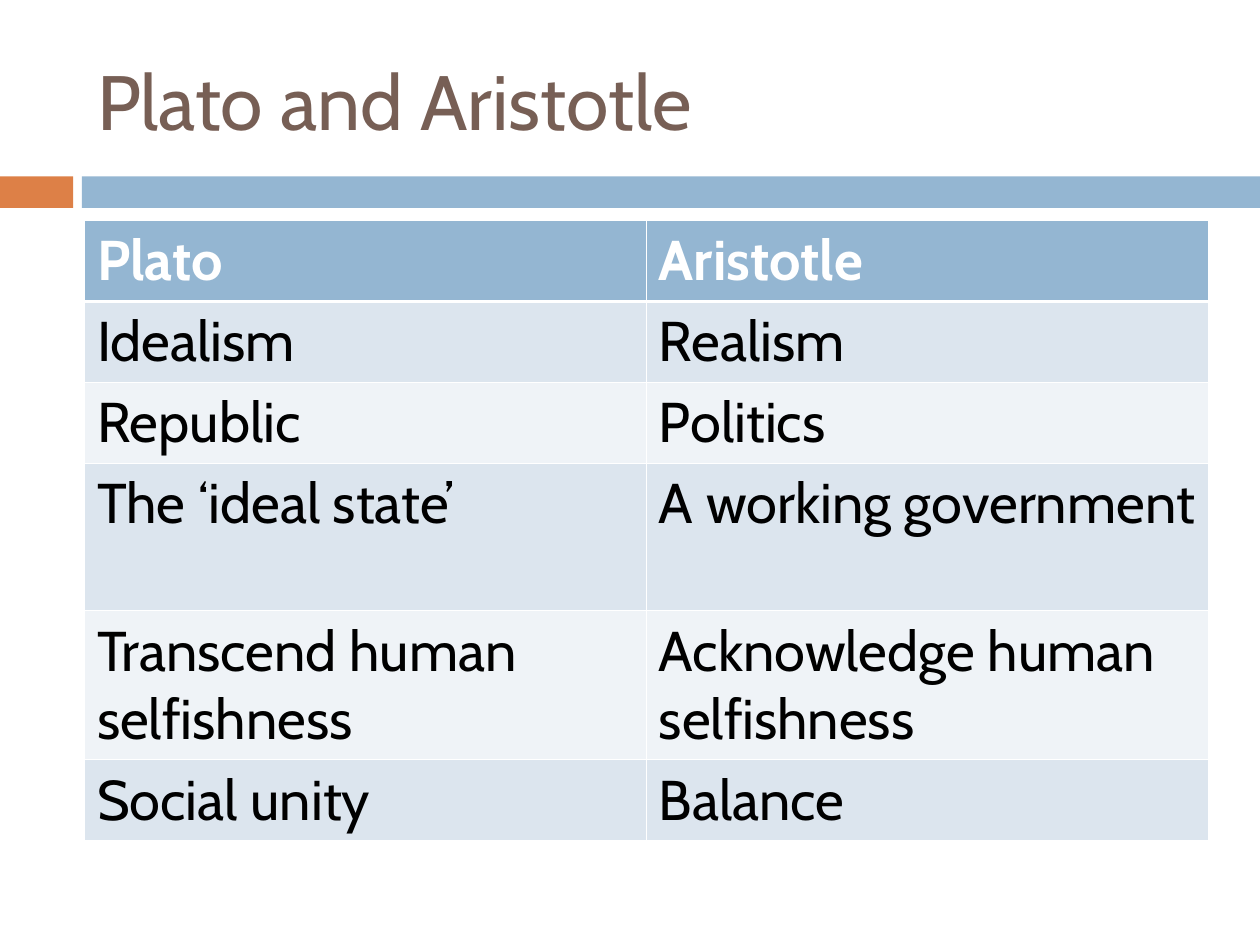
from lxml.etree import SubElement
from pptx import Presentation
from pptx.dml.color import RGBColor
from pptx.enum.shapes import MSO_SHAPE as Shape
from pptx.enum.text import MSO_ANCHOR as Anchor, PP_ALIGN as Align
from pptx.oxml.ns import qn
from pptx.util import Inches, Pt

COLORS = {
    "orange": "DD8047",
    "blue": "94B6D2",
    "brown": "775F55",
    "white": "FFFFFF",
    "black": "000000",
    "dark_band": "DCE5EE",
    "light_band": "EFF3F7",
}

ROWS = [
    ("Plato", "Aristotle"),
    ("Idealism", "Realism"),
    ("Republic", "Politics"),
    ("The ‘ideal state’", "A working government"),
    ("Transcend human selfishness", "Acknowledge human selfishness"),
    ("Social unity", "Balance"),
]
SINGLE, DOUBLE = 0.64, 1.17
ROW_HEIGHTS = [SINGLE, SINGLE, SINGLE, DOUBLE, DOUBLE, SINGLE]
LEFT, WIDTH = 0.67, 8.92
THIN, THICK = 0.45, 1.47


def color(name):
    return RGBColor.from_string(COLORS[name])


def write(frame, text, size=32, ink="black", bold=False, font="Cabin"):
    para = frame.paragraphs[0]
    para.alignment = Align.LEFT
    span = para.add_run()
    span.text = text
    span.font.name = font
    span.font.size = Pt(size)
    span.font.bold = bold
    span.font.color.rgb = color(ink)


def draw_border(cell, side, width):
    properties = cell._tc.get_or_add_tcPr()
    line = SubElement(properties, qn(f"a:ln{side}"), w=str(Pt(width)))
    fill = SubElement(line, qn("a:solidFill"))
    SubElement(fill, qn("a:srgbClr"), val=COLORS["white"])


class ComparisonSlide:
    def __init__(self, deck):
        self.page = deck.slides.add_slide(deck.slide_layouts[5])

    def bar(self, left, width, fill):
        box = self.page.shapes.add_shape(
            Shape.RECTANGLE, Inches(left), Inches(1.4), Inches(width), Inches(0.25))
        box.shadow.inherit = False
        box.fill.solid()
        box.fill.fore_color.rgb = color(fill)
        box.line.fill.background()

    def title(self, text):
        box = self.page.shapes.title
        box.left, box.top = Inches(LEFT), Inches(0.25)
        box.width, box.height = Inches(WIDTH), Inches(1.08)
        box.text_frame.vertical_anchor = Anchor.MIDDLE
        write(box.text_frame, text, size=44, ink="brown")

    def table(self, rows, heights):
        table = self.page.shapes.add_table(
            len(rows), len(rows[0]), Inches(LEFT), Inches(1.75),
            Inches(WIDTH), Inches(sum(heights))).table
        for index, (texts, height) in enumerate(zip(rows, heights)):
            table.rows[index].height = Inches(height)
            for column, text in enumerate(texts):
                self.cell(table.cell(index, column), text, index)

    def cell(self, cell, text, row):
        header = row == 0
        widths = {
            "L": THIN,
            "R": THIN,
            "T": THICK if row == 1 else THIN,
            "B": THICK if header else THIN,
        }
        for side, width in widths.items():
            draw_border(cell, side, width)
        band = "dark_band" if row % 2 else "light_band"
        cell.fill.solid()
        cell.fill.fore_color.rgb = color("blue" if header else band)
        write(cell.text_frame, text, ink="white" if header else "black", bold=header)


def main():
    deck = Presentation()
    deck.slide_width, deck.slide_height = Inches(10), Inches(7.5)
    slide = ComparisonSlide(deck)
    slide.bar(0, 0.58, "orange")
    slide.bar(0.65, 9.35, "blue")
    slide.title("Plato and Aristotle")
    slide.table(ROWS, ROW_HEIGHTS)
    deck.save("out.pptx")


if __name__ == "__main__":
    main()
